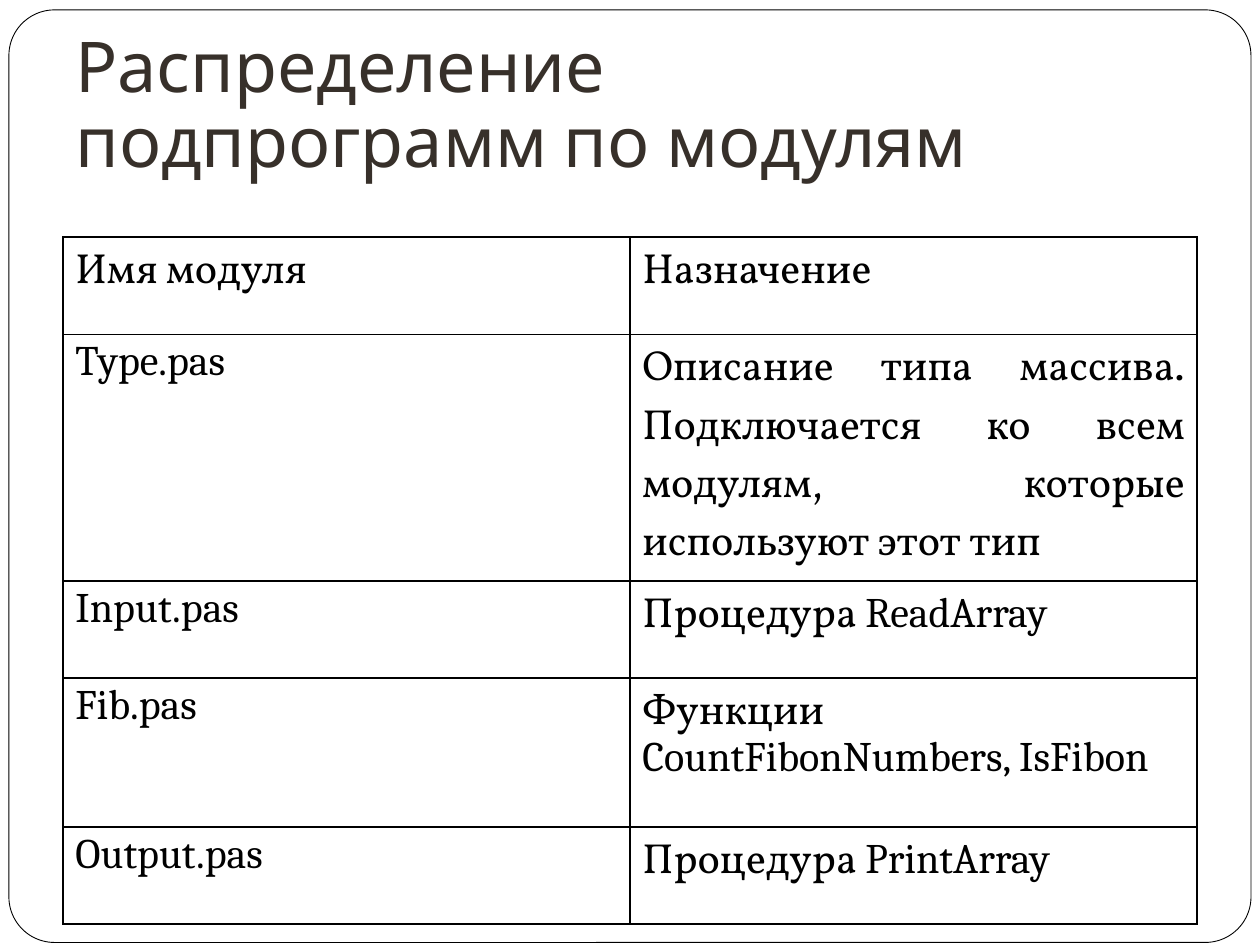
from lxml import etree
from pptx import Presentation
from pptx.dml.color import RGBColor
from pptx.enum.shapes import MSO_SHAPE
from pptx.enum.text import MSO_ANCHOR, PP_ALIGN
from pptx.oxml.ns import qn
from pptx.util import Cm, Pt

WHITE = RGBColor(0xFF, 0xFF, 0xFF)
BLACK = RGBColor(0, 0, 0)
BROWN = RGBColor(0x37, 0x30, 0x2A)
TITLE_FONT, BODY_FONT, CODE_FONT = "Karla", "Vollkorn", "Cambria"

ROW_HEIGHTS = (1.96, 4.45, 1.96, 3.0, 1.96)
HANGING = 0.95

# Each cell is a list of (text, font) runs
HEADERS = ("Имя модуля", "Назначение")
MODULES = (
    ("Type.pas", [("Описание типа массива. Подключается ко всем модулям, "
                   "которые используют этот тип", BODY_FONT)]),
    ("Input.pas", [("Процедура ", BODY_FONT), ("ReadArray", CODE_FONT)]),
    ("Fib.pas", [("Функции ", BODY_FONT),
                 ("CountFibonNumbers, IsFibon", CODE_FONT)]),
    ("Output.pas", [("Процедура ", BODY_FONT), ("PrintArray", CODE_FONT)]),
)


def add_run(paragraph, text, font, size, color):
    run = paragraph.add_run()
    run.text = text
    run.font.name, run.font.size = font, Pt(size)
    run.font.color.rgb = color


def add_frame(slide):
    frame = slide.shapes.add_shape(MSO_SHAPE.ROUNDED_RECTANGLE,
                                   Cm(0.18), Cm(0.2), Cm(25.04), Cm(18.8))
    frame.adjustments[0] = 0.049
    frame.shadow.inherit = False
    frame.fill.solid()
    frame.fill.fore_color.rgb = WHITE
    frame.line.color.rgb = BLACK
    frame.line.width = Pt(0.5)
    # Send the frame behind the title
    slide.shapes.title.element.addprevious(frame.element)


def set_title(slide, text):
    title = slide.shapes.title
    title.left, title.top, title.width, title.height = (
        Cm(1.27), Cm(0.33), Cm(20.96), Cm(3.61))
    frame = title.text_frame
    frame.word_wrap = True
    frame.vertical_anchor = MSO_ANCHOR.BOTTOM
    frame.margin_left = frame.margin_right = frame.margin_bottom = Cm(0.25)
    frame.margin_top = Cm(0.13)
    paragraph = frame.paragraphs[0]
    paragraph.alignment = PP_ALIGN.LEFT
    paragraph.line_spacing = 0.9
    add_run(paragraph, text, TITLE_FONT, 40, BROWN)


def set_borders(cell):
    properties = cell._tc.get_or_add_tcPr()
    for side in ("a:lnL", "a:lnR", "a:lnT", "a:lnB"):
        line = etree.SubElement(properties, qn(side), w=str(Pt(1)))
        fill = etree.SubElement(line, qn("a:solidFill"))
        etree.SubElement(fill, qn("a:srgbClr"), val=str(BLACK))


def fill_cell(cell, runs, hanging, compact):
    set_borders(cell)
    cell.fill.background()
    cell.margin_left = cell.margin_right = Cm(0.25)
    cell.margin_top = cell.margin_bottom = Cm(0.13)
    paragraph = cell.text_frame.paragraphs[0]
    paragraph.alignment = PP_ALIGN.JUSTIFY
    if compact:
        paragraph.line_spacing = 0.9
        paragraph.space_before = Pt(4.8)
    if hanging:
        indent = paragraph._p.get_or_add_pPr()
        indent.set("marL", str(Cm(HANGING)))
        indent.set("indent", str(-Cm(HANGING)))
    for text, font in runs:
        add_run(paragraph, text, font, 24, BLACK)


def add_module_table(slide):
    rows = [[[(header, BODY_FONT)] for header in HEADERS]]
    rows += [[[(name, CODE_FONT)], purpose] for name, purpose in MODULES]
    table = slide.shapes.add_table(len(rows), 2, Cm(1.27), Cm(4.78), Cm(22.86),
                                   Cm(sum(ROW_HEIGHTS))).table
    table.first_row = table.horz_banding = False
    last = len(rows) - 1
    for r, row in enumerate(rows):
        table.rows[r].height = Cm(ROW_HEIGHTS[r])
        for c, runs in enumerate(row):
            fill_cell(table.cell(r, c), runs,
                      hanging=c == 0 or r in (0, last),
                      compact=(r, c) != (1, 1))


def main():
    deck = Presentation()
    deck.slide_width, deck.slide_height = Cm(25.4), Cm(19.05)
    slide = deck.slides.add_slide(deck.slide_layouts[5])
    slide.background.fill.solid()
    slide.background.fill.fore_color.rgb = WHITE
    add_frame(slide)
    set_title(slide, "Распределение подпрограмм по модулям")
    add_module_table(slide)
    deck.save("out.pptx")


main()
